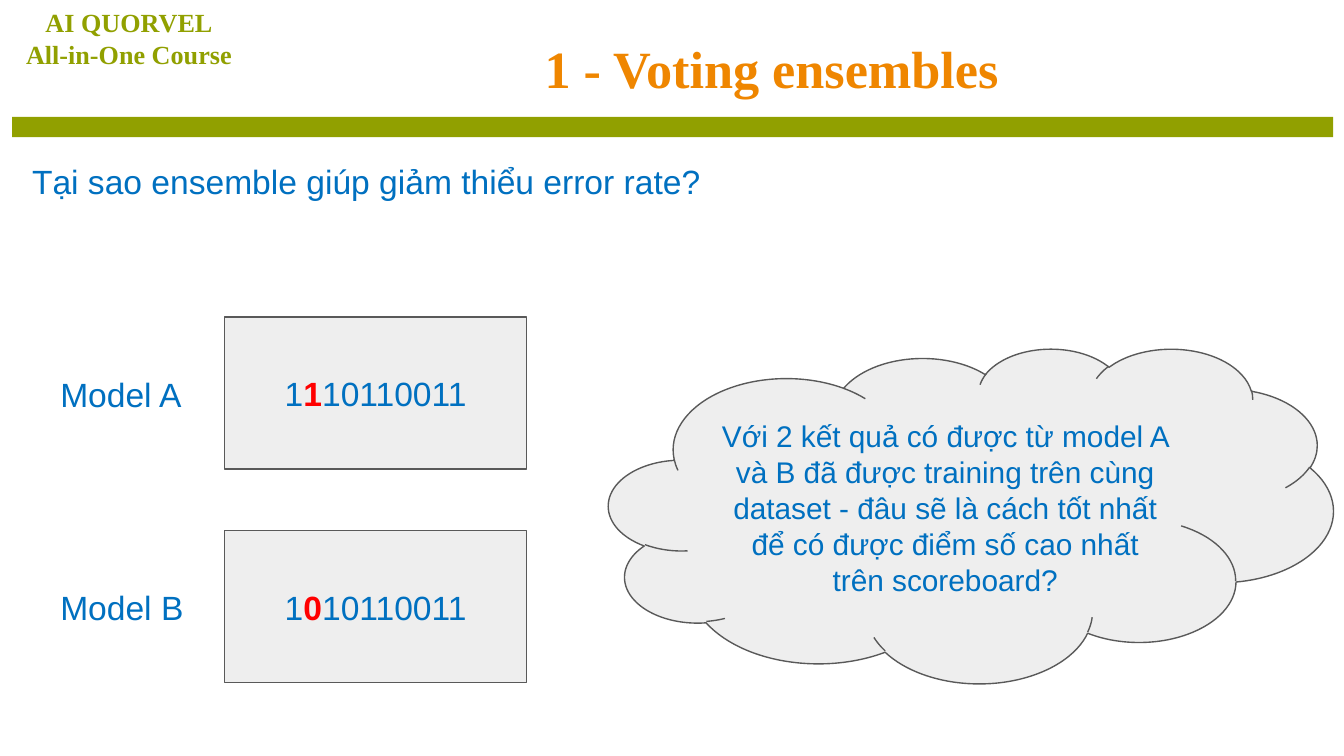
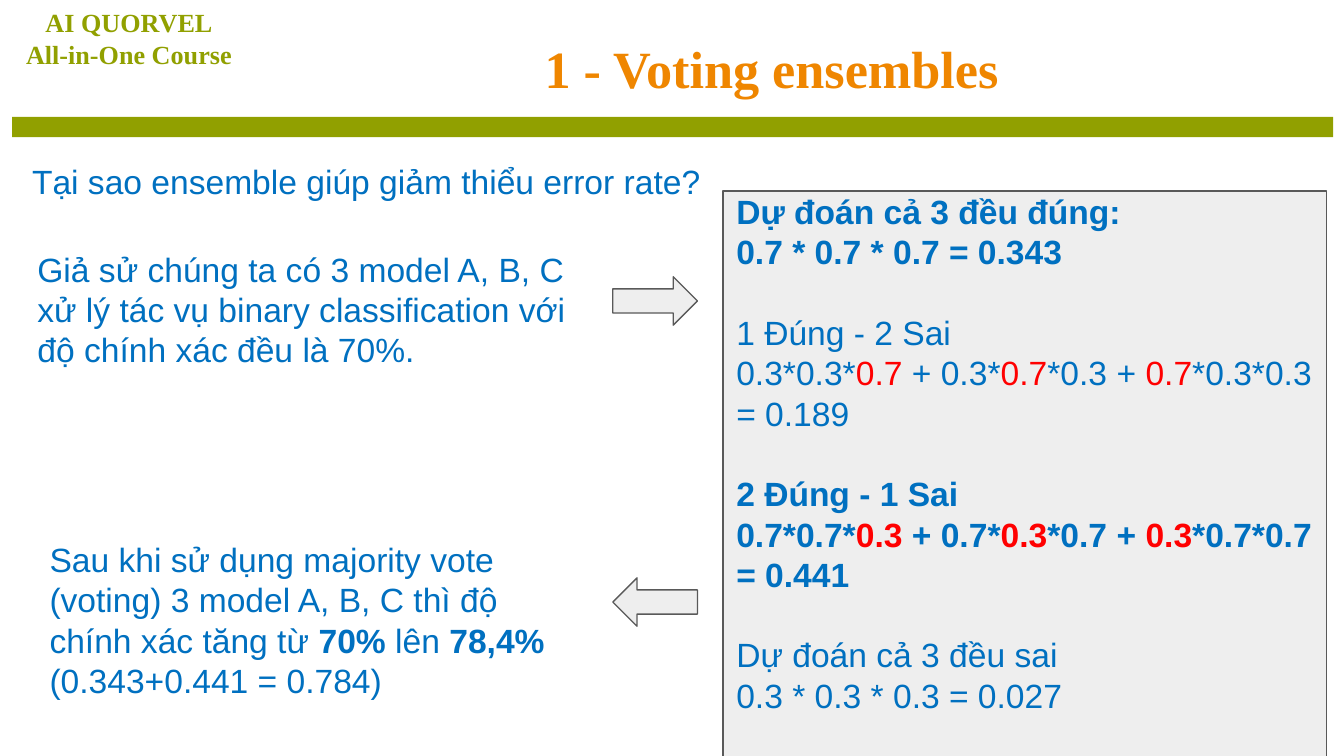
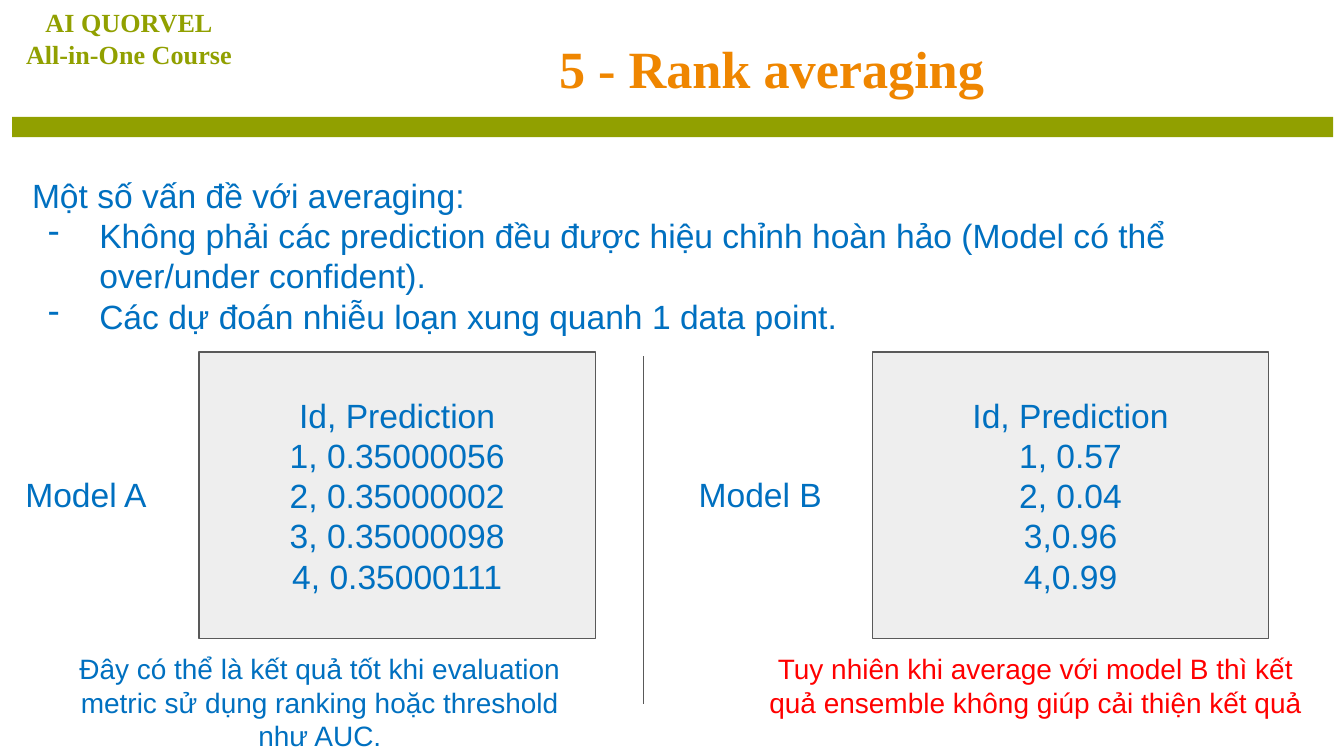
from dataclasses import dataclass

from lxml.etree import SubElement
from pptx import Presentation
from pptx.dml.color import RGBColor
from pptx.enum.shapes import MSO_CONNECTOR, MSO_SHAPE as SHAPE
from pptx.enum.text import MSO_ANCHOR as ANCHOR, PP_ALIGN as ALIGN
from pptx.oxml.ns import qn
from pptx.util import Inches, Pt


@dataclass(frozen=True)
class Theme:
    """Colours, fonts and type sizes of the deck."""
    orange = RGBColor(0xEF, 0x86, 0x00)
    olive = RGBColor(0x91, 0xA0, 0x00)
    blue = RGBColor(0x00, 0x70, 0xC0)
    red = RGBColor(0xFF, 0x00, 0x00)
    panel = RGBColor(0xEE, 0xEE, 0xEE)
    outline = RGBColor(0x59, 0x59, 0x59)
    heading_font = "Times New Roman"
    body_font = "Arial"
    title = Pt(28)
    body = Pt(18)
    cloud = Pt(16)
    note = Pt(15)
    tag = Pt(14)
    hairline = Pt(0.75)


theme = Theme()
deck = Presentation()
deck.slide_width, deck.slide_height = Inches(10), Inches(5.625)


def place(slide, box, lines=(), kind=None, size=theme.body, color=theme.blue, font=theme.body_font,
          bold=False, align=None, accent=None, accent_bold=None, inset=0.1):
    """Add a text box, or a grey panel of the given kind; text between bars is accented."""
    area = [Inches(length) for length in box]
    if kind is None:
        item = slide.shapes.add_textbox(*area)
    else:
        item = slide.shapes.add_shape(kind, *area)
        item.shadow.inherit = False
        item.fill.solid()
        item.fill.fore_color.rgb = theme.panel
        item.line.color.rgb = theme.outline
        item.line.width = theme.hairline
    frame = item.text_frame
    frame.word_wrap = True
    frame.vertical_anchor = ANCHOR.TOP if kind is None else ANCHOR.MIDDLE
    frame.margin_left = frame.margin_right = Inches(0.1)
    frame.margin_top = frame.margin_bottom = Inches(inset)
    for row, line in enumerate(lines):
        paragraph = frame.add_paragraph() if row else frame.paragraphs[0]
        paragraph.alignment = align or (ALIGN.LEFT if kind is None else ALIGN.CENTER)
        paragraph.font.name, paragraph.font.size = font, size
        paragraph.font.bold = bold
        paragraph.font.color.rgb = color
        for part, words in enumerate(line.split("|")):
            if not words:
                continue
            run = paragraph.add_run()
            run.text = words
            if part % 2:
                if accent is not None:
                    run.font.color.rgb = accent
                if accent_bold is not None:
                    run.font.bold = accent_bold
    return item


def start_slide(title):
    """Add a slide with the course tag, the title and the olive band."""
    slide = deck.slides.add_slide(deck.slide_layouts[6])
    place(slide, (2.38, 0.17, 6.72, 0.63), [title], size=theme.title, color=theme.orange,
          font=theme.heading_font, bold=True, align=ALIGN.CENTER)
    band = place(slide, (0.09, 0.87, 9.83, 0.15), kind=SHAPE.RECTANGLE)
    band.fill.fore_color.rgb = theme.olive
    band.line.fill.background()
    place(slide, (0.09, 0, 1.74, 0.57), ["AI QUORVEL", "All-in-One Course"], size=theme.tag,
          color=theme.olive, font=theme.heading_font, bold=True, align=ALIGN.CENTER, inset=0.05)
    return slide


question = "Tại sao ensemble giúp giảm thiểu error rate?"
question_box = (0.14, 1.1, 9.78, 0.81)

# Slide 1: two models that differ in one bit
voting = start_slide("1 - Voting ensembles")
place(voting, question_box, [question])
for row, (model, bits) in enumerate([("Model A", "1|1|10110011"), ("Model B", "1|0|10110011")]):
    top = 2.36 + 1.59 * row
    place(voting, (1.67, top, 2.25, 1.13), [bits], SHAPE.RECTANGLE,
          accent=theme.red, accent_bold=True)
    place(voting, (0.35, top + 0.32, 1.22, 0.5), [model])
place(voting, (4.53, 2.59, 5.39, 2.49),
      ["Với 2 kết quả có được từ model A và B đã được training trên cùng dataset - đâu sẽ là "
       "cách tốt nhất để có được điểm số cao nhất trên scoreboard?"],
      SHAPE.CLOUD, size=theme.cloud)

# Slide 2: the odds of a majority vote
odds = start_slide("1 - Voting ensembles")
place(odds, question_box, [question])
cases = [
    (True, ["Dự đoán cả 3 đều đúng:", "0.7 * 0.7 * 0.7 = 0.343"]),
    (False, ["1 Đúng - 2 Sai", "0.3*0.3*|0.7| + 0.3*|0.7|*0.3 + |0.7|*0.3*0.3", "= 0.189"]),
    (True, ["2 Đúng - 1 Sai", "0.7*0.7*|0.3| + 0.7*|0.3|*0.7 + |0.3|*0.7*0.7", "= 0.441"]),
    (False, ["Dự đoán cả 3 đều sai", "0.3 * 0.3 * 0.3 = 0.027"]),
]
case_panel = place(odds, (5.38, 1.42, 4.49, 4.21), [line for _, lines in cases for line in lines],
                   SHAPE.RECTANGLE, align=ALIGN.LEFT, accent=theme.red, inset=0)
case_panel.text_frame.vertical_anchor = ANCHOR.TOP
case_rows = iter(case_panel.text_frame.paragraphs)
for case, (majority_right, lines) in enumerate(cases):
    for row, _ in enumerate(lines):
        paragraph = next(case_rows)
        paragraph.font.bold = majority_right
        if case and not row:
            paragraph.space_before = Pt(21.6)
place(odds, (0.18, 1.75, 4.19, 1.11),
      ["Giả sử chúng ta có 3 model A, B, C xử lý tác vụ binary classification với "
       "độ chính xác đều là 70%."])
for arrow, top in [(SHAPE.RIGHT_ARROW, 2.06), (SHAPE.LEFT_ARROW, 4.3)]:
    place(odds, (4.56, top, 0.63, 0.36), kind=arrow)
place(odds, (0.27, 3.91, 4.19, 1.41),
      ["Sau khi sử dụng majority vote (voting) 3 model A, B, C thì độ chính xác tăng từ "
       "|70%| lên |78,4%|", "(0.343+0.441 = 0.784)"], accent_bold=True)

# Slide 3: the trouble with plain averaging
ranking = start_slide("5 - Rank averaging")
problems = place(ranking, (0.14, 1.2, 9.78, 1.41), [
    "Một số vấn đề với averaging:",
    "Không phải các prediction đều được hiệu chỉnh hoàn hảo (Model có thể over/under confident).",
    "Các dự đoán nhiễu loạn xung quanh 1 data point.",
])
for paragraph in problems.text_frame.paragraphs[1:]:
    properties = paragraph._p.get_or_add_pPr()
    properties.set("marL", str(Inches(0.5)))
    properties.set("indent", str(Inches(-0.38)))
    bullet_color = SubElement(properties, qn("a:buClr"))
    SubElement(bullet_color, qn("a:srgbClr"), val=str(theme.blue))
    dash = SubElement(properties, qn("a:buChar"), char="-")
    properties.insert(0, bullet_color)
    properties.insert(1, dash)

predictions = [
    ("Model A", ["1, 0.35000056", "2, 0.35000002", "3, 0.35000098", "4, 0.35000111"]),
    ("Model B", ["1, 0.57", "2, 0.04", "3,0.96", "4,0.99"]),
]
for column, (model, scores) in enumerate(predictions):
    left = 0.09 + 5.01 * column
    place(ranking, (left, 3.43, 1.22, 0.5), [model])
    place(ranking, (left + 1.39, 2.62, 2.95, 2.13), ["Id, Prediction", *scores], SHAPE.RECTANGLE)
place(ranking, (0.33, 4.75, 4.1, 0.96),
      ["Đây có thể là kết quả tốt khi evaluation metric sử dụng ranking hoặc threshold như AUC."],
      size=theme.note, align=ALIGN.CENTER)
place(ranking, (5.58, 4.75, 4.25, 0.71),
      ["Tuy nhiên khi average với model B thì kết quả ensemble không giúp cải thiện kết quả"],
      size=theme.note, color=theme.red, align=ALIGN.CENTER)
divider = ranking.shapes.add_connector(MSO_CONNECTOR.STRAIGHT, Inches(4.79), Inches(2.65),
                                       Inches(4.79), Inches(5.24))
divider.line.color.rgb = theme.outline
divider.line.width = theme.hairline
SubElement(divider._element.spPr, qn("a:effectLst"))

deck.save("out.pptx")
